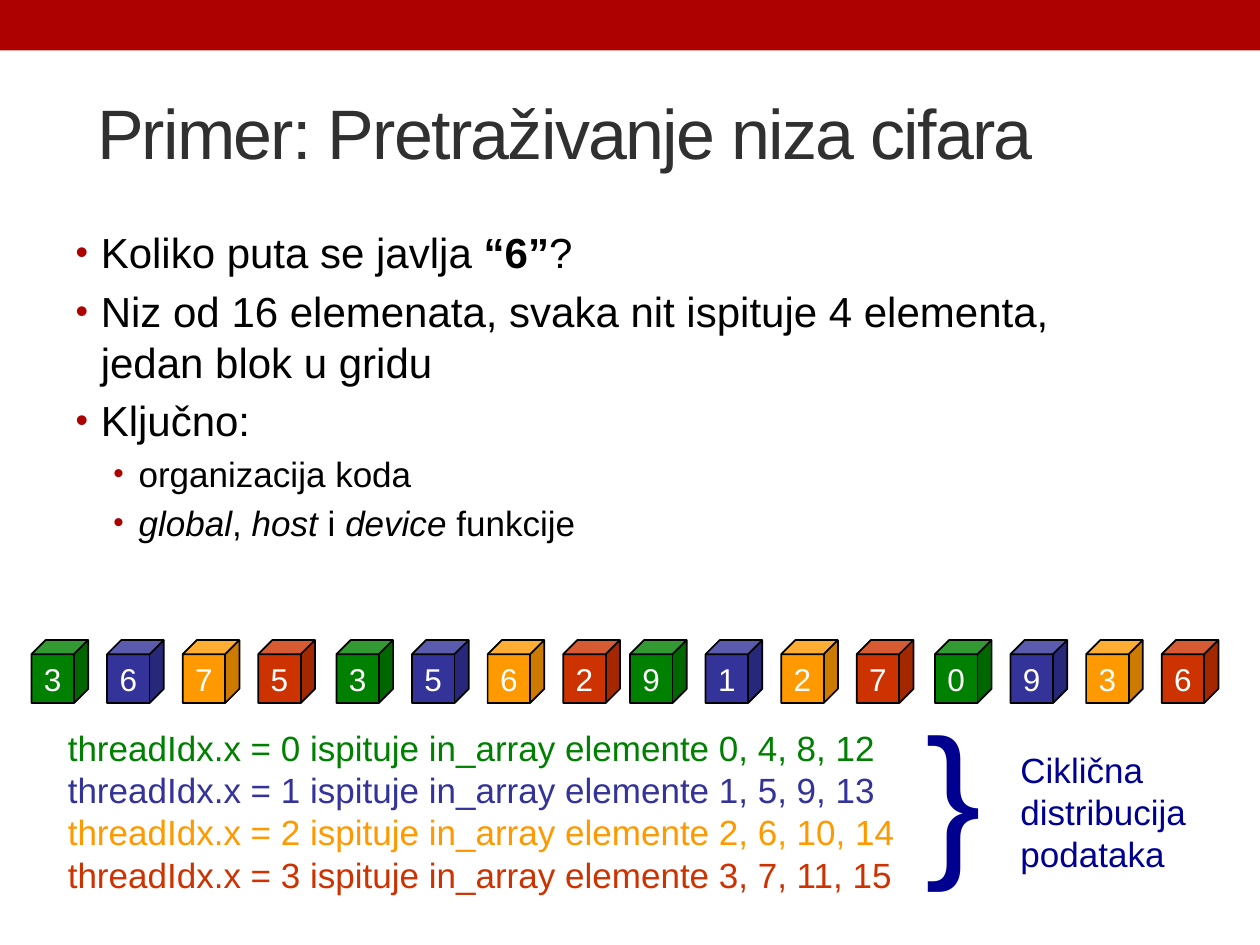
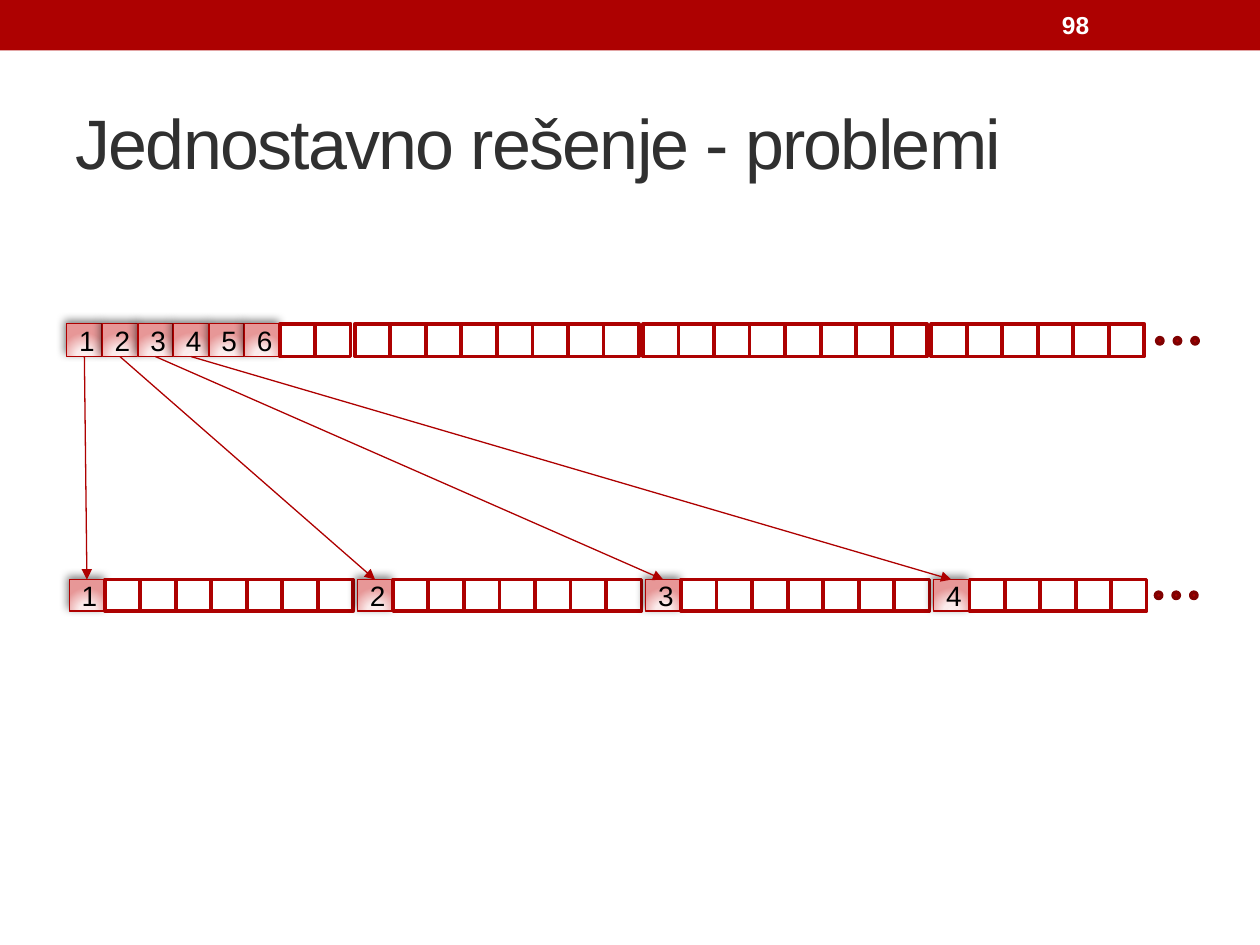
from pptx import Presentation
from pptx.dml.color import RGBColor
from pptx.enum.shapes import MSO_CONNECTOR, MSO_SHAPE
from pptx.enum.text import MSO_ANCHOR, MSO_AUTO_SIZE, PP_ALIGN
from pptx.oxml import parse_xml
from pptx.util import Inches, Pt

NS = 'xmlns:a="http://schemas.openxmlformats.org/drawingml/2006/main"'
BAND_RED, ARROW_RED, DOT_EDGE = "AD0101", "AE0000", "800101"
BLACK, WHITE, TITLE_GREY, NAVY = "000000", "FFFFFF", "303030", "000090"
THREAD_COLORS = ["008000", "333399", "FF9900", "CC3300"]
GLOW_STOPS = [(0, "FDEFEF"), (34, "FBEBEB"), (100, "E79797")]
TITLE_ONLY, TITLE_AND_BODY = 5, 1


def rgb(code):
    return RGBColor.from_string(code)


def box(*lengths):
    return [Inches(length) for length in lengths]


def write(paragraph, text, size=20, color=BLACK, bold=False, italic=False,
          align=PP_ALIGN.LEFT, spacing=None):
    run = paragraph.add_run()
    run.text = text
    run.font.name = "Arial"
    run.font.size = Pt(size)
    run.font.bold = bold
    run.font.italic = italic
    run.font.color.rgb = rgb(color)
    paragraph.alignment = align
    if spacing is not None:
        run.font._element.set("spc", str(spacing))


class Deck:
    """Holds the shared style and the slide being drawn."""

    def __init__(self):
        self.prs = Presentation()
        self.prs.slide_width, self.prs.slide_height = box(10, 7.5)
        self.slide = None
        self.canvas = None

    def new_slide(self, layout, title, left, top):
        self.slide = self.prs.slides.add_slide(self.prs.slide_layouts[layout])
        self.canvas = self.slide.shapes
        self.shape(MSO_SHAPE.RECTANGLE, (0, 0, 10, 0.4), BAND_RED)
        frame = self.place(self.slide.shapes.title, left, top, 9, 1.08)
        frame.vertical_anchor = MSO_ANCHOR.MIDDLE
        write(frame.paragraphs[0], title, size=40, color=TITLE_GREY, spacing=-100)

    def place(self, holder, *at):
        holder.left, holder.top, holder.width, holder.height = box(*at)
        holder.text_frame.auto_size = MSO_AUTO_SIZE.NONE
        return holder.text_frame

    def group(self):
        self.canvas = self.slide.shapes.add_group_shape().shapes

    def ungroup(self):
        self.canvas = self.slide.shapes

    def shape(self, kind, at, fill=None, line=None, width=1):
        shape = self.canvas.add_shape(kind, *box(*at))
        shape.shadow.inherit = False
        if fill:
            shape.fill.solid()
            shape.fill.fore_color.rgb = rgb(fill)
        if line:
            shape.line.color.rgb = rgb(line)
            shape.line.width = Pt(width)
        else:
            shape.line.fill.background()
        return shape

    def bullets(self, items, at):
        frame = self.place(self.slide.placeholders[1], *at)
        for i, (level, runs) in enumerate(items):
            paragraph = frame.add_paragraph() if i else frame.paragraphs[0]
            size = 20 if level else 24
            paragraph.level = level
            paragraph.space_before = Pt(size * 0.2)
            for text, style in runs:
                write(paragraph, text, size=size, **style)
            props = paragraph._p.get_or_add_pPr()
            props.set("marL", str(Inches(0.5 if level else 0.2)))
            props.set("indent", str(Inches(-0.2)))
            for mark in (f'<a:buClr {NS}><a:srgbClr val="{BAND_RED}"/></a:buClr>',
                         f'<a:buSzPct {NS} val="85000"/>',
                         f'<a:buFont {NS} typeface="Arial"/>',
                         f'<a:buChar {NS} char="•"/>'):
                props.append(parse_xml(mark))

    def label(self, lines, at, colors, size=20, **style):
        frame = self.canvas.add_textbox(*box(*at)).text_frame
        frame.word_wrap = False
        frame.auto_size = MSO_AUTO_SIZE.SHAPE_TO_FIT_TEXT
        for i, (line, color) in enumerate(zip(lines, colors)):
            paragraph = frame.add_paragraph() if i else frame.paragraphs[0]
            write(paragraph, line, size=size, color=color, **style)

    def page_number(self, number):
        frame = self.canvas.add_textbox(*box(8.33, 0.02, 1.17, 0.36)).text_frame
        frame.word_wrap = True
        frame.vertical_anchor = MSO_ANCHOR.MIDDLE
        write(frame.paragraphs[0], number, size=14, color=WHITE, bold=True)

    def cube(self, digit, left, color):
        cube = self.shape(MSO_SHAPE.CUBE, (left, 5.08, 0.45, 0.5), color, BLACK)
        cube.text_frame.vertical_anchor = MSO_ANCHOR.TOP
        write(cube.text_frame.paragraphs[0], digit, size=18, color=WHITE)

    def empty_cell(self, at):
        self.shape(MSO_SHAPE.RECTANGLE, at, WHITE, BAND_RED, 2)

    def read_cell(self, digit, at):
        cell = self.shape(MSO_SHAPE.RECTANGLE, at, None, ARROW_RED, 0.75)
        stops = "".join(f'<a:gs pos="{pos * 1000}"><a:srgbClr val="{code}"/></a:gs>'
                        for pos, code in GLOW_STOPS)
        props = cell.element.spPr
        props.insert(2, parse_xml(
            f'<a:gradFill {NS} rotWithShape="1"><a:gsLst>{stops}</a:gsLst><a:path path="circle">'
            '<a:fillToRect l="50000" t="155000" r="50000" b="-55000"/></a:path></a:gradFill>'))
        props.find("{*}effectLst").append(parse_xml(
            f'<a:outerShdw {NS} blurRad="{Pt(5)}" dist="{Pt(2)}" dir="{245 * 60000}" '
            f'rotWithShape="0"><a:srgbClr val="{BLACK}"><a:alpha val="50000"/></a:srgbClr>'
            '</a:outerShdw>'))
        cell.text_frame.vertical_anchor = MSO_ANCHOR.MIDDLE
        write(cell.text_frame.paragraphs[0], digit, size=16, align=PP_ALIGN.CENTER)
        return cell

    def memory_row(self, left, top, height, digits, dots_left, dots_top):
        self.group()
        read_cells = []
        for segment, length in enumerate([8, 8, 8, 6]):
            for i in range(length):
                at = (left + 2.287 * segment + 0.282 * i, top, 0.28, height)
                digit = digits.get((segment, i))
                if digit:
                    read_cells.append(self.read_cell(digit, at))
                else:
                    self.empty_cell(at)
        for i in range(3):
            self.shape(MSO_SHAPE.OVAL, (dots_left + 0.14 * i, dots_top, 0.05, 0.05),
                       BAND_RED, DOT_EDGE, 2)
        self.ungroup()
        return read_cells

    def arrow(self, source, target):
        arrow = self.canvas.add_connector(MSO_CONNECTOR.STRAIGHT, 0, 0, 0, 0)
        arrow.begin_connect(source, 2)
        arrow.end_connect(target, 0)
        arrow.line.color.rgb = rgb(ARROW_RED)
        arrow.line.width = Pt(0.75)
        arrow.line._get_or_add_ln().append(parse_xml(f'<a:tailEnd {NS} type="triangle"/>'))
        arrow._element.spPr.append(parse_xml(f'<a:effectLst {NS}/>'))


def digit_search(deck):
    deck.new_slide(TITLE_AND_BODY, "Primer: Pretraživanje niza cifara", 0.67, 0.5)
    plain, bold, italic = {}, {"bold": True}, {"italic": True}
    deck.bullets([
        (0, [("Koliko puta se javlja ", plain), ("“6”", bold), ("?", plain)]),
        (0, [("Niz od 16 elemenata, svaka nit ispituje 4 elementa, jedan blok u gridu", plain)]),
        (0, [("Ključno:", plain)]),
        (1, [("organizacija koda", plain)]),
        (1, [("global", italic), (", ", plain), ("host", italic), (" i ", plain),
             ("device", italic), (" funkcije", plain)]),
    ], (0.5, 1.75, 8.83, 3.08))

    deck.group()
    for start, digits in zip([0.25, 2.67, 5, 7.42], ["3675", "3562", "9127", "0936"]):
        for i, (digit, color) in enumerate(zip(digits, THREAD_COLORS)):
            deck.cube(digit, start + 0.6 * i, color)
    deck.ungroup()

    threads = [f"threadIdx.x = {t} ispituje in_array elemente {t}, {t + 4}, {t + 8}, {t + 12}"
               for t in range(4)]
    deck.label(threads, (0.44, 5.72, 6.8, 1.45), THREAD_COLORS)
    deck.label(["}"], (7.25, 5.42, 0.65, 1.72), [NAVY], size=96)
    deck.label(["Ciklična", "distribucija", "podataka"], (8, 5.89, 1.61, 1.11), [NAVY] * 3)


def simple_solution(deck):
    deck.new_slide(TITLE_ONLY, "Jednostavno rešenje - problemi", 0.5, 0.58)
    packed = {(0, i): str(i + 1) for i in range(6)}
    spread = {(segment, 0): str(segment + 1) for segment in range(4)}
    sources = deck.memory_row(0.53, 2.57, 0.26, packed, 9.18, 2.68)
    targets = deck.memory_row(0.55, 4.6, 0.25, spread, 9.17, 4.7)
    for source, target in zip(sources, targets):
        deck.arrow(source, target)
    deck.page_number("98")


def main():
    deck = Deck()
    digit_search(deck)
    simple_solution(deck)
    deck.prs.save("out.pptx")


if __name__ == "__main__":
    main()
